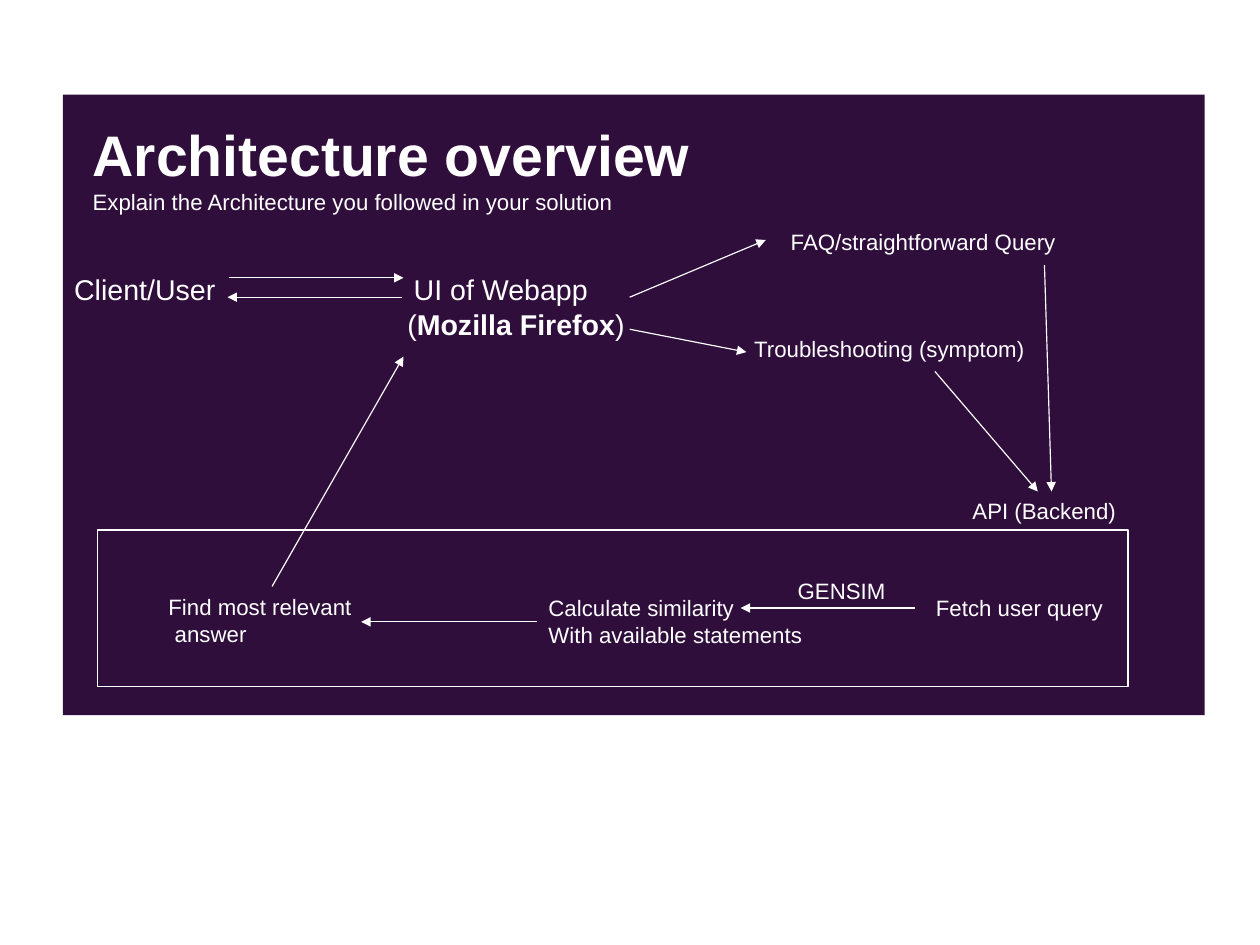
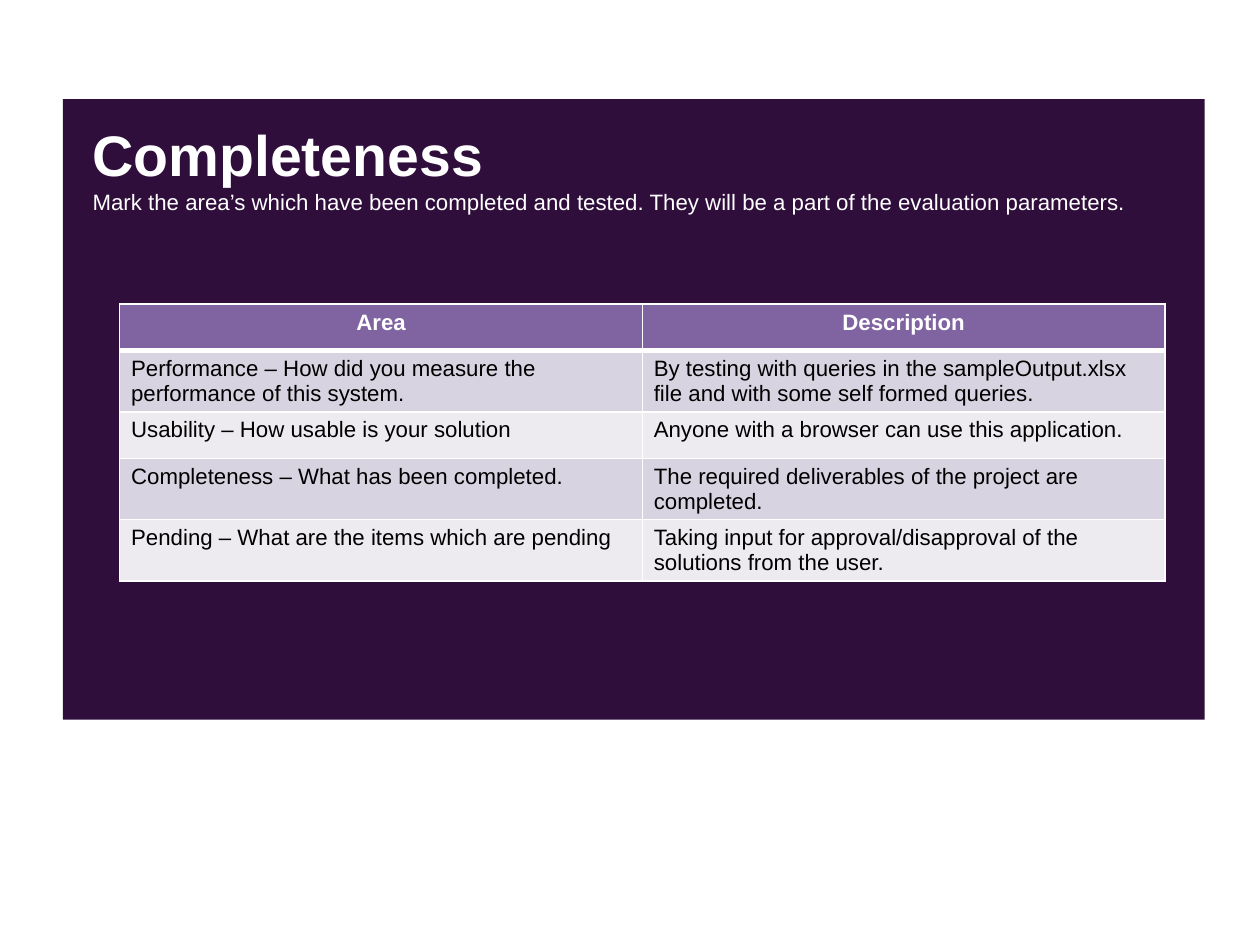
"""Build a two-slide project report: architecture overview and completeness."""
from lxml.etree import SubElement
from pptx import Presentation
from pptx.dml.color import RGBColor
from pptx.enum.shapes import MSO_CONNECTOR, MSO_SHAPE
from pptx.enum.text import MSO_ANCHOR, MSO_AUTO_SIZE, PP_ALIGN
from pptx.oxml.ns import qn
from pptx.util import Pt

WHITE, BLACK, PLUM, MAUVE = "FFFFFF", "000000", "2F0E3C", "8064A2"
BANDS = "D8D3E0", "EDEAF0"
FONT = "Arial"


def tint(code):
    """Turn a hex string into a colour."""
    return RGBColor.from_string(code)


class Deck:
    """Hold the shared style and the current slide."""

    def __init__(self):
        """Open a blank deck of the right size."""
        self.deck = Presentation()
        self.deck.slide_width, self.deck.slide_height = Pt(793.75), Pt(595.25)
        self.slide = None

    def ink(self, para, size, color=WHITE, bold=False):
        """Format every run of a paragraph."""
        for run in para.runs:
            font = run.font
            font.name, font.size, font.bold = FONT, Pt(size), bold
            font.color.rgb = tint(color)

    def page(self, title, note, top):
        """Add a slide with its panel, title and subtitle."""
        self.slide = self.deck.slides.add_slide(self.deck.slide_layouts[1])
        head, body = self.slide.placeholders
        panel = self.rect(39.6, top, 719.28, 390.96, PLUM)
        head.element.addprevious(panel.element)
        self.fit(head, title, 71.28, 45, 36, True)
        self.fit(body, note, 115, 26, 14, False)

    def fit(self, holder, text, top, height, size, bold):
        """Place and format a title or subtitle placeholder."""
        holder.left, holder.top = Pt(51.12), Pt(top)
        holder.width, holder.height = Pt(698), Pt(height)
        frame = holder.text_frame
        frame.text = text
        frame.auto_size, frame.word_wrap = MSO_AUTO_SIZE.NONE, True
        frame.vertical_anchor = MSO_ANCHOR.TOP
        para = frame.paragraphs[0]
        props = para._p.get_or_add_pPr()
        props.set("marL", "0")
        props.set("indent", "0")
        SubElement(props, qn("a:buNone"))
        para.alignment = PP_ALIGN.LEFT
        para.space_before = Pt(0)
        self.ink(para, size, bold=bold)

    def rect(self, left, top, width, height, fill=None, line=None):
        """Add a plain rectangle."""
        shape = self.slide.shapes.add_shape(
            MSO_SHAPE.RECTANGLE, Pt(left), Pt(top), Pt(width), Pt(height))
        shape.shadow.inherit = False
        if fill:
            shape.fill.solid()
            shape.fill.fore_color.rgb = tint(fill)
        else:
            shape.fill.background()
        if line:
            shape.line.color.rgb, shape.line.width = tint(line), Pt(0.75)
        else:
            shape.line.fill.background()
        return shape

    def label(self, left, top, width, lines, size=14, pads=(0, 0)):
        """Add a text box with one paragraph per line."""
        box = self.slide.shapes.add_textbox(
            Pt(left), Pt(top), Pt(width), Pt(7.2 + 1.2 * size * len(lines)))
        frame = box.text_frame
        frame.word_wrap = True
        frame.text = "\n".join(lines)
        for para, pad in zip(frame.paragraphs, pads):
            if pad:
                para._p.get_or_add_pPr().set("marL", str(Pt(pad)))
            self.ink(para, size)
        return frame

    def arrow(self, *ends):
        """Draw a straight arrow between two points."""
        link = self.slide.shapes.add_connector(
            MSO_CONNECTOR.STRAIGHT, *[Pt(end) for end in ends])
        link.line.color.rgb, link.line.width = tint(WHITE), Pt(0.75)
        SubElement(link.line._get_or_add_ln(), qn("a:tailEnd"), type="triangle")
        SubElement(link.element.spPr, qn("a:effectLst"))

    def edge(self, cell, side, width):
        """Draw one white border of a cell."""
        line = SubElement(cell._tc.get_or_add_tcPr(), qn("a:ln" + side),
                          w=str(Pt(width)))
        SubElement(SubElement(line, qn("a:solidFill")), qn("a:srgbClr"), val=WHITE)

    def table(self, left, top, width, high, rows):
        """Add a banded table with a header row."""
        grid = self.slide.shapes.add_table(
            len(rows), len(rows[0]), Pt(left), Pt(top), Pt(width),
            Pt(high * len(rows))).table
        for i, row in enumerate(rows):
            for j, text in enumerate(row):
                cell = grid.cell(i, j)
                cell.text = text
                for side in "LRTB":
                    thick = (i, side) in ((0, "B"), (1, "T"))
                    self.edge(cell, side, 3 if thick else 1)
                cell.fill.solid()
                cell.fill.fore_color.rgb = tint(BANDS[(i - 1) % 2] if i else MAUVE)
                para = cell.text_frame.paragraphs[0]
                para.alignment = PP_ALIGN.LEFT if i else PP_ALIGN.CENTER
                self.ink(para, 14, BLACK if i else WHITE, not i)


def design(deck):
    """Draw the architecture slide."""
    deck.page("Architecture overview",
              "Explain the Architecture you followed in your solution", 59.6)
    deck.rect(61.2, 333.9, 649.44, 98.64, line=WHITE)
    deck.label(39.6, 168, 110, ["Client/User"], 18)
    para = deck.label(249.5, 168, 170, ["UI of Webapp", "("], 18,
                      (4, 0)).paragraphs[1]
    for word in ("Mozilla Firefox", ")"):
        para.add_run().text = word
    deck.ink(para, 18)
    para.runs[1].font.bold = True
    for spot in (
        (491, 140.4, 190, ["FAQ/straightforward Query"]),
        (468, 207.4, 192, ["Troubleshooting (symptom)"]),
        (605.5, 309.6, 112, ["API (Backend)"]),
        (582.5, 370.8, 126, ["Fetch user query"]),
        (338.4, 370.8, 182, ["Calculate similarity", "With available statements"]),
        (495.4, 360, 76, ["GENSIM"]),
    ):
        deck.label(*spot)
    deck.label(99, 370.1, 136, ["Find most relevant", "answer"], pads=(0, 4))
    for ends in (
        (144, 175, 254.2, 175),
        (253.4, 187.2, 143.3, 187.2),
        (396.7, 187.2, 482.4, 151.2),
        (396.7, 207.4, 470.2, 221.8),
        (589, 234, 653.8, 309.6),
        (658, 167, 662.4, 309.6),
        (576.7, 383, 466.6, 383),
        (338.4, 391.7, 227.5, 391.7),
        (171.4, 369.4, 254.2, 224.6),
    ):
        deck.arrow(*ends)


def status(deck):
    """Draw the completeness slide."""
    deck.page("Completeness",
              "Mark the area’s which have been completed and tested. "
              "They will be a part of the evaluation parameters.", 62.4)
    deck.table(75.4, 191.6, 658.6, 29.2, (
        ("Area", "Description"),
        ("Performance – How did you measure the performance of this system.",
         "By testing with queries in the sampleOutput.xlsx file "
         "and with some self formed queries."),
        ("Usability – How usable is your solution",
         "Anyone with a browser can use this application."),
        ("Completeness – What has been completed.",
         "The required deliverables of the project are completed."),
        ("Pending – What are the items which are pending",
         "Taking input for approval/disapproval of the solutions from the user."),
    ))


def main():
    """Build and save the deck."""
    deck = Deck()
    design(deck)
    status(deck)
    deck.deck.save("out.pptx")


if __name__ == "__main__":
    main()
